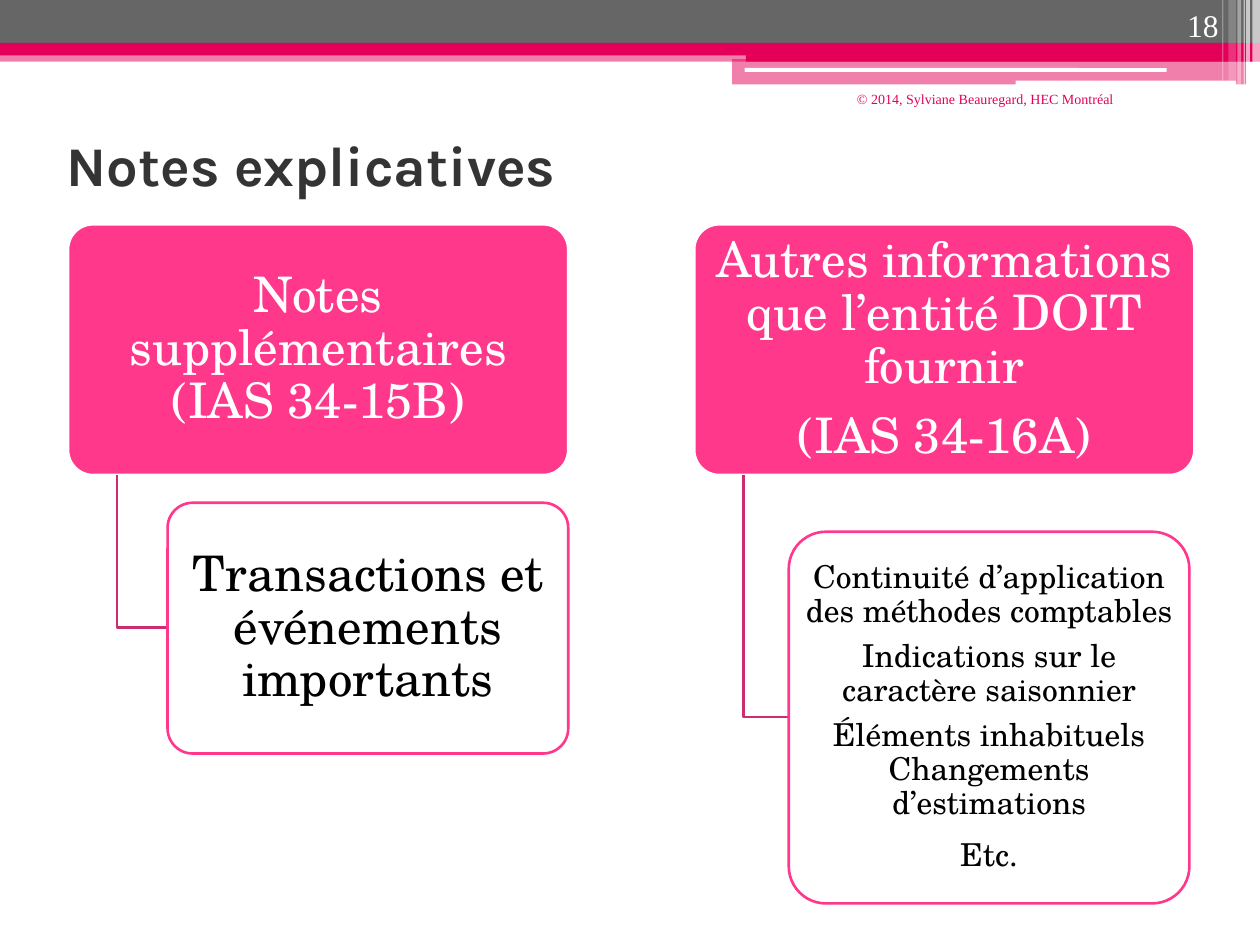
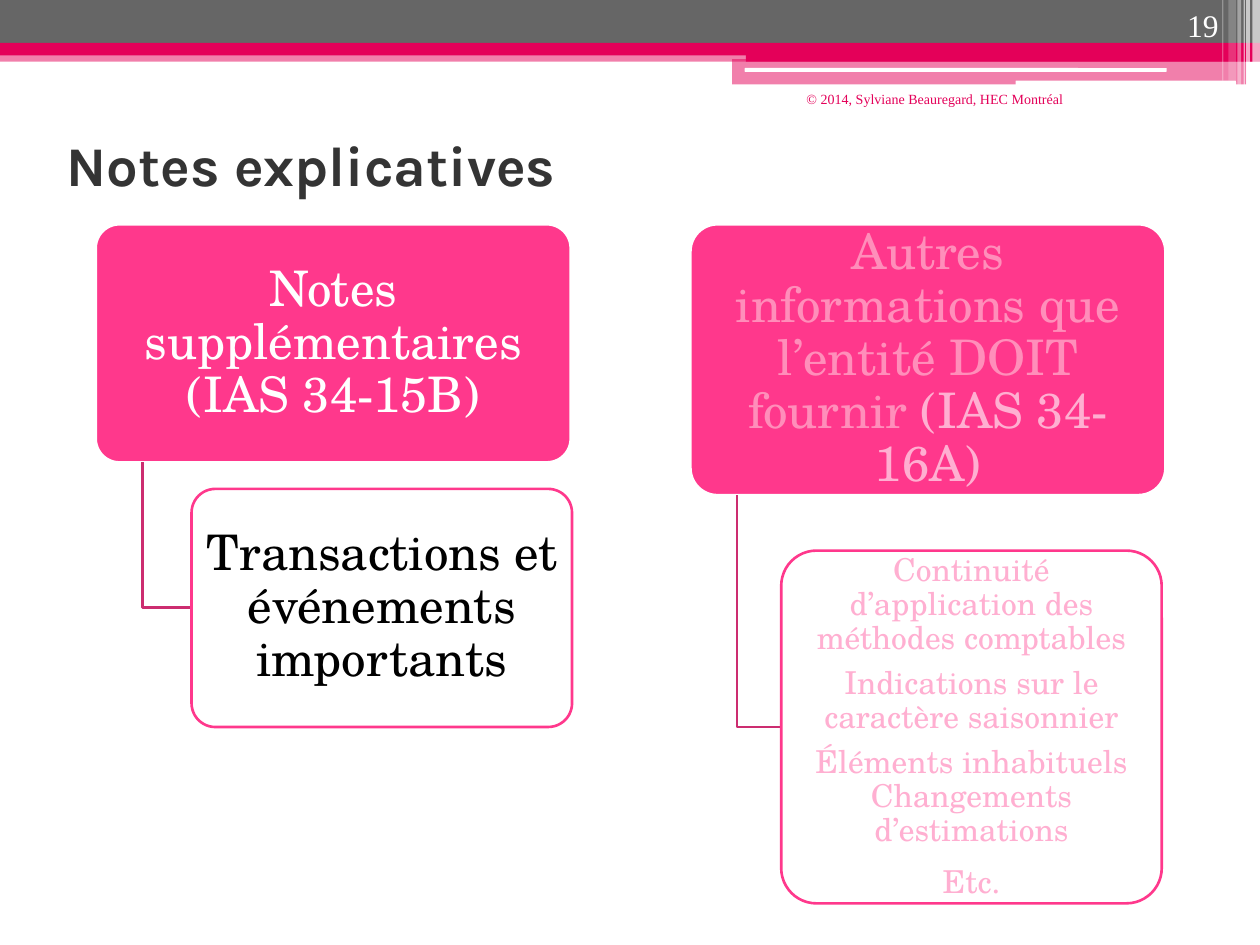
from dataclasses import dataclass

import lxml.etree
import pptx
import pptx.dml.color
import pptx.enum.shapes
import pptx.enum.text
import pptx.oxml.ns
import pptx.util
from pptx.shapes.autoshape import Shape
from pptx.slide import Slide

RGBColor = pptx.dml.color.RGBColor
Align = pptx.enum.text.PP_ALIGN
Anchor = pptx.enum.text.MSO_ANCHOR
Kind = pptx.enum.shapes.MSO_SHAPE

GREY = RGBColor(0x66, 0x66, 0x66)
ROSE = RGBColor(0xE4, 0x00, 0x59)
PINK = RGBColor(0xFF, 0x38, 0x8C)
PLUM = RGBColor(0xCC, 0x2D, 0x70)
BLUSH = RGBColor(0xFF, 0x8E, 0xBA)
PALE = RGBColor(0xFF, 0xAF, 0xD1)
DARK = RGBColor(0x34, 0x34, 0x34)
BLACK = RGBColor(0x00, 0x00, 0x00)
WHITE = RGBColor(0xFF, 0xFF, 0xFF)

HEADING = "Karla"
BODY = "TeX Gyre Schola"
SMALL = "Times New Roman"
SCALE = 9144


@dataclass(frozen=True)
class Area:
    left: int
    top: int
    width: int
    height: int


@dataclass(frozen=True)
class Band:
    area: Area
    fill: RGBColor
    alpha: int = 100
    kind: Kind = Kind.RECTANGLE


@dataclass(frozen=True)
class Box:
    area: Area
    lines: tuple[str, ...]
    size: int
    ink: RGBColor
    tail: str = ""


@dataclass(frozen=True)
class Branch:
    head: Box
    leaf: Box


@dataclass(frozen=True)
class Page:
    number: int
    credit: Area
    branches: tuple[Branch, ...]


BANDS = (
    Band(Area(0, 40, 1000, 9), ROSE, 50),
    Band(Area(0, 0, 1000, 34), GREY),
    Band(Area(0, 34, 1000, 10), ROSE),
    Band(Area(592, 39, 408, 10), ROSE),
    Band(Area(581, 47, 408, 20), ROSE, 50),
    Band(Area(591, 54, 335, 3), WHITE, kind=Kind.ROUNDED_RECTANGLE),
    Band(Area(806, 64, 175, 4), WHITE, kind=Kind.ROUNDED_RECTANGLE),
    Band(Area(994, 0, 6, 68), WHITE, 65),
    Band(Area(989, 0, 3, 68), WHITE, 65),
    Band(Area(987, 0, 1, 68), WHITE, 60),
    Band(Area(982, 0, 3, 68), WHITE, 40),
    Band(Area(975, 0, 6, 64), WHITE, 20),
    Band(Area(970, 0, 1, 64), WHITE, 30),
)

TITLE = "Notes explicatives"
CREDIT = "© 2014, Sylviane Beauregard, HEC Montréal"
NOTES = ("Notes supplémentaires (IAS 34-15B)",)
EVENTS = ("Transactions et événements importants",)
OTHERS = "Autres informations que l’entité DOIT fournir"
CLAUSE = "(IAS 34-16A)"
DETAILS = (
    "Continuité d’application des méthodes comptables",
    "Indications sur le caractère saisonnier",
    "Éléments inhabituels Changements d’estimations",
    "Etc.",
)

PAGES = (
    Page(18, Area(575, 67, 319, 56), (
        Branch(Box(Area(54, 178, 397, 199), NOTES, 28, WHITE),
               Box(Area(133, 399, 318, 199), EVENTS, 28, BLACK)),
        Branch(Box(Area(551, 178, 397, 199), (OTHERS, CLAUSE), 28, WHITE),
               Box(Area(626, 422, 318, 295), DETAILS, 18, BLACK)),
    )),
    Page(19, Area(575, 67, 279, 48), (
        Branch(Box(Area(76, 178, 377, 189), NOTES, 28, WHITE),
               Box(Area(152, 388, 302, 189), EVENTS, 28, BLACK)),
        Branch(Box(Area(548, 178, 377, 215), (OTHERS + " ",), 28, BLUSH, CLAUSE),
               Box(Area(620, 437, 302, 280), DETAILS, 18, PALE)),
    )),
)


def px(value: int) -> pptx.util.Emu:
    return pptx.util.Emu(value * SCALE)


def place(area: Area) -> tuple[pptx.util.Emu, ...]:
    return px(area.left), px(area.top), px(area.width), px(area.height)


def style(run, face: str, size: int, ink: RGBColor, bold: bool = False) -> None:
    run.font.name = face
    run.font.size = pptx.util.Pt(size)
    run.font.color.rgb = ink
    run.font.bold = bold


def add_band(slide: Slide, band: Band) -> None:
    shape = slide.shapes.add_shape(band.kind, *place(band.area))
    shape.shadow.inherit = False
    shape.fill.solid()
    shape.fill.fore_color.rgb = band.fill
    shape.line.fill.background()
    if band.alpha < 100:
        qn = pptx.oxml.ns.qn
        tint = shape.fill._xPr.find(qn("a:solidFill")).find(qn("a:srgbClr"))
        lxml.etree.SubElement(tint, qn("a:alpha"), val=str(band.alpha * 1000))


def add_label(slide: Slide, area: Area, text: str, size: int,
              ink: RGBColor, anchor: Anchor) -> None:
    frame = slide.shapes.add_textbox(*place(area)).text_frame
    frame.word_wrap = True
    frame.vertical_anchor = anchor
    frame.text = text
    frame.paragraphs[0].alignment = Align.RIGHT
    style(frame.paragraphs[0].runs[0], SMALL, size, ink)


def add_title(slide: Slide) -> None:
    title = slide.shapes.title
    title.left, title.top, title.width, title.height = place(Area(43, 99, 900, 63))
    frame = title.text_frame
    frame.text = TITLE
    frame.word_wrap = True
    frame.auto_size = pptx.enum.text.MSO_AUTO_SIZE.NONE
    frame.vertical_anchor = Anchor.MIDDLE
    frame.paragraphs[0].alignment = Align.LEFT
    style(frame.paragraphs[0].runs[0], HEADING, 32, DARK, True)


def add_box(slide: Slide, box: Box, fill: RGBColor, edge: RGBColor) -> Shape:
    shape = slide.shapes.add_shape(Kind.ROUNDED_RECTANGLE, *place(box.area))
    shape.adjustments[0] = 0.1
    shape.shadow.inherit = False
    shape.fill.solid()
    shape.fill.fore_color.rgb = fill
    shape.line.color.rgb = edge
    shape.line.width = pptx.util.Pt(1.5)
    frame = shape.text_frame
    frame.word_wrap = True
    frame.vertical_anchor = Anchor.MIDDLE
    frame.margin_left = frame.margin_right = px(6 if box.size > 20 else 4)
    frame.margin_top = frame.margin_bottom = px(4 if box.size > 20 else 3)
    frame.text = "\n".join(box.lines)
    for part in frame.paragraphs:
        part.alignment = Align.CENTER
        part.line_spacing = 0.9
        part.space_after = pptx.util.Pt(box.size * 0.35)
        style(part.runs[0], BODY, box.size, box.ink)
    if len(box.lines) > 2:
        frame.paragraphs[-1].space_before = pptx.util.Pt(4)
    if box.tail:
        run = frame.paragraphs[-1].add_run()
        run.text = box.tail
        style(run, BODY, box.size, PALE)
    return shape


def add_elbow(slide: Slide, head: Area, leaf: Area) -> None:
    left = head.left + head.width // 10
    top = head.top + head.height
    middle = leaf.top + leaf.height // 2
    pen = slide.shapes.build_freeform(left, top, scale=SCALE)
    pen.add_line_segments(((left, middle), (leaf.left, middle)), close=False)
    shape = pen.convert_to_shape()
    shape.shadow.inherit = False
    shape.fill.background()
    shape.line.color.rgb = PLUM
    shape.line.width = pptx.util.Pt(1.5)


def add_branch(slide: Slide, branch: Branch) -> None:
    add_box(slide, branch.head, PINK, WHITE)
    add_elbow(slide, branch.head.area, branch.leaf.area)
    add_box(slide, branch.leaf, WHITE, PINK)


def main() -> None:
    deck = pptx.Presentation()
    deck.slide_width, deck.slide_height = px(1000), px(750)
    for page in PAGES:
        slide = deck.slides.add_slide(deck.slide_layouts[5])
        for band in BANDS:
            add_band(slide, band)
        add_title(slide)
        for branch in page.branches:
            add_branch(slide, branch)
        add_label(slide, page.credit, CREDIT, 8, ROSE, Anchor.TOP)
        add_label(slide, Area(894, 0, 83, 40), str(page.number), 18, WHITE, Anchor.BOTTOM)
    deck.save("out.pptx")


if __name__ == "__main__":
    main()
